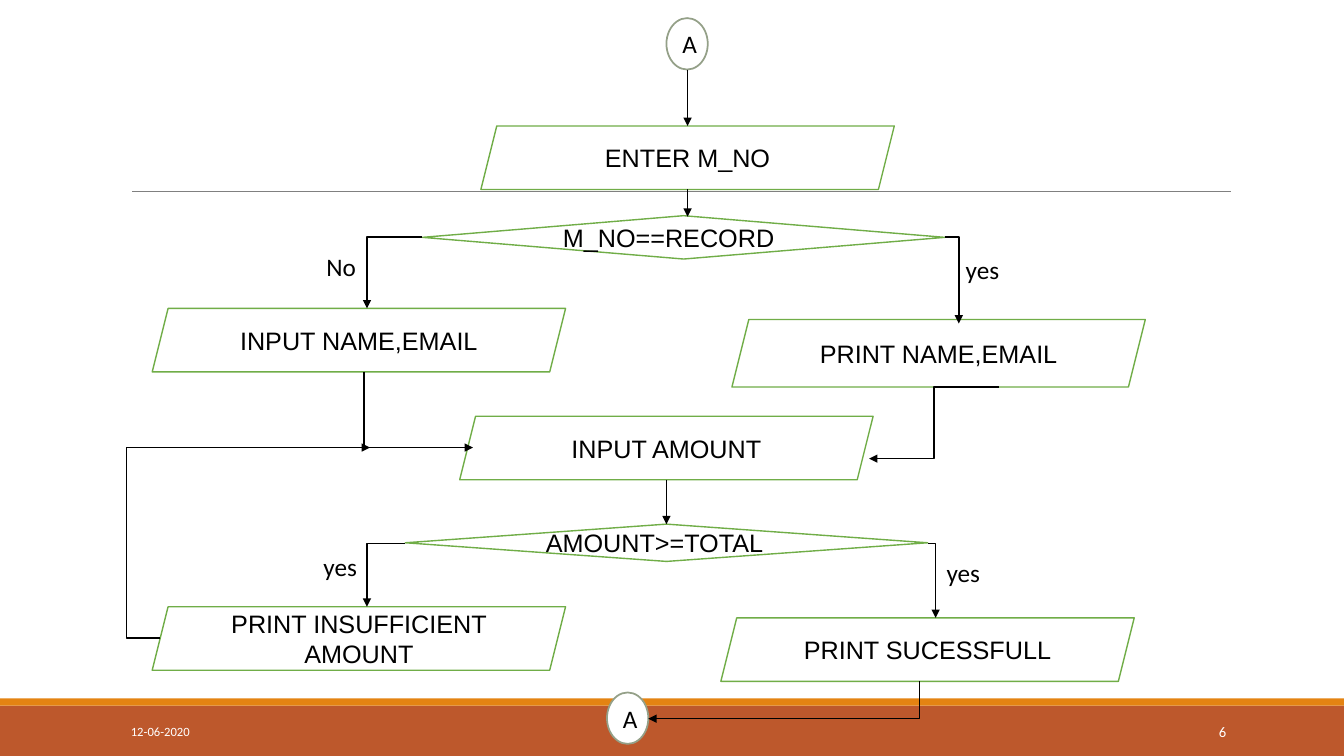
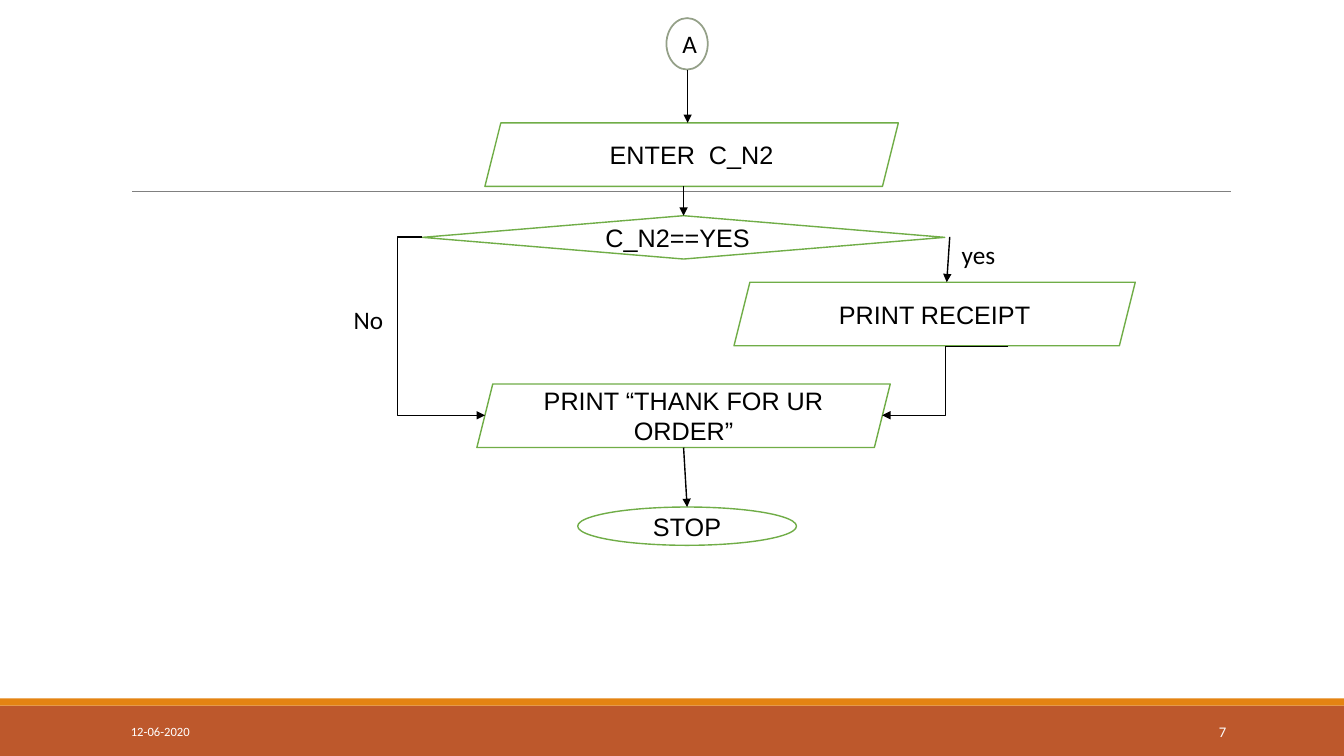
import math

import lxml.etree
import pptx
import pptx.dml.color
import pptx.enum.shapes
import pptx.enum.text
import pptx.oxml.ns
import pptx.util

Inches = pptx.util.Inches
Pt = pptx.util.Pt
qn = pptx.oxml.ns.qn
SHAPES = pptx.enum.shapes.MSO_SHAPE
CONNECTORS = pptx.enum.shapes.MSO_CONNECTOR
ALIGN = pptx.enum.text.PP_ALIGN
ANCHOR = pptx.enum.text.MSO_ANCHOR
AUTO_SIZE = pptx.enum.text.MSO_AUTO_SIZE

COLOURS = {
    "band": "BD582C",
    "stripe": "E48312",
    "rule": "808080",
    "paper": "FFFFFF",
    "ink": "000000",
    "step": "70AD47",
    "link": "94A088",
}
FONTS = {
    "step": {"name": "Arial", "size": Pt(18)},
    "label": {"name": "Calibri", "size": Pt(18)},
    "date": {"name": "Calibri", "size": Pt(9)},
    "number": {"name": "Calibri", "size": Pt(10.5)},
}
FRAMES = {
    "shape": {"word_wrap": True, "vertical_anchor": ANCHOR.MIDDLE},
    "label": {"word_wrap": False, "auto_size": AUTO_SIZE.SHAPE_TO_FIT_TEXT},
}
NODES = {
    "data": {"preset": SHAPES.PARALLELOGRAM, "line": "step", "width": 1, "font": "step", "align": ALIGN.CENTER},
    "test": {"preset": SHAPES.DIAMOND, "line": "step", "width": 1, "font": "step", "align": ALIGN.LEFT},
    "end": {"preset": SHAPES.OVAL, "line": "step", "width": 1, "font": "step", "align": ALIGN.CENTER},
    "link": {"preset": SHAPES.OVAL, "line": "link", "width": 1.25, "font": "label", "align": ALIGN.CENTER},
}
SLIDE_BOX = (0, 0, 13.33, 7.5)
DATE = "12-06-2020"

ORDER_CHART = {
    "number": "6",
    "nodes": {
        "start": ("link", "A", (6.61, 0.18, 0.41, 0.51)),
        "enter": ("data", "ENTER M_NO", (4.77, 1.25, 4.1, 0.63)),
        "known": ("test", "M_NO==RECORD", (4.19, 2.14, 5.18, 0.43)),
        "details": ("data", "PRINT NAME,EMAIL", (7.26, 3.17, 4.1, 0.67)),
        "amount": ("data", "INPUT AMOUNT", (4.56, 4.13, 4.1, 0.63)),
        "success": ("data", "PRINT SUCESSFULL", (7.15, 6.13, 4.1, 0.63)),
        "enough": ("test", "AMOUNT>=TOTAL", (4.02, 5.2, 5.18, 0.37)),
        "short": ("data", "PRINT INSUFFICIENT AMOUNT", (1.51, 6.02, 4.1, 0.63)),
        "customer": ("data", "INPUT NAME,EMAIL", (1.51, 3.06, 4.1, 0.63)),
        "next": ("link", "A", (6.02, 6.87, 0.41, 0.51)),
    },
    "flows": [
        ("straight", (6.82, 0.69), (6.82, 1.25), None),
        ("straight", (6.82, 1.88), (6.82, 2.15), None),
        ("across", (4.19, 2.35), (3.64, 3.06), None),
        ("across", (9.37, 2.35), (9.51, 3.21), None),
        ("step", (9.91, 3.84), (8.62, 4.55), 0.5),
        ("down", (3.61, 3.69), (4.69, 4.44), None),
        ("straight", (6.61, 4.76), (6.61, 5.2), "enough"),
        ("across", (4.02, 5.39), (3.64, 6.02), None),
        ("across", (9.2, 5.39), (9.28, 6.13), None),
        ("step", (1.59, 6.33), (3.67, 4.44), -0.16),
        ("down", (9.12, 6.76), (6.43, 7.13), None),
    ],
    "labels": [
        ("yes", (9.48, 2.47, 0.54, 0.4)),
        ("yes", (9.29, 5.48, 0.54, 0.4)),
        ("No", (3.14, 2.44, 0.5, 0.4)),
        ("yes", (3.11, 5.42, 0.54, 0.4)),
    ],
    "indents": {},
}
RECEIPT_CHART = {
    "number": "7",
    "nodes": {
        "start": ("link", "A", (6.61, 0.18, 0.41, 0.51)),
        "receipt": ("data", "PRINT RECEIPT", (7.28, 2.8, 3.98, 0.63)),
        "confirmed": ("test", "C_N2==YES", (4.19, 2.14, 5.18, 0.43)),
        "enter": ("data", "ENTER  C_N2", (4.81, 1.22, 4.1, 0.63)),
        "thanks": ("data", "PRINT “THANK FOR UR ORDER”", (4.73, 3.81, 4.1, 0.63)),
        "stop": ("end", "STOP", (5.73, 5.03, 2.17, 0.38)),
    },
    "flows": [
        ("straight", (6.82, 0.69), (6.82, 1.22), None),
        ("straight", (6.78, 1.85), (6.78, 2.14), "confirmed"),
        ("straight", (9.42, 2.35), (9.39, 2.8), None),
        ("step", (10, 3.44), (8.75, 4.12), 0.5),
        ("step", (4.19, 2.35), (4.81, 4.12), -0.4),
        ("straight", (6.78, 4.44), (6.82, 5.03), "stop"),
    ],
    "labels": [
        ("yes", (9.44, 2.33, 0.54, 0.4)),
        ("No", (3.41, 2.97, 0.5, 0.4)),
    ],
    "indents": {"confirmed": 0.52},
}


def colour(name):
    """Return a named colour."""
    return pptx.dml.color.RGBColor.from_string(COLOURS[name])


def apply_formats(target, formats):
    """Set each format value on the target."""
    for name, value in formats.items():
        setattr(target, name, value)


def place(box, part):
    """Return the lengths of a part set relative to a box."""
    left, top, width, height = part
    return [Inches(value) for value in (box[0] + left, box[1] + top, width, height)]


def write_text(shape, text, font, ink, align, frame):
    """Write one formatted paragraph into a shape."""
    apply_formats(shape.text_frame, FRAMES[frame])
    paragraph = shape.text_frame.paragraphs[0]
    paragraph.alignment = align
    run = paragraph.add_run()
    run.text = text
    apply_formats(run.font, FONTS[font])
    run.font.color.rgb = colour(ink)


def add_filled_shape(slide, preset, lengths, fill):
    """Add a flat shape without a shadow."""
    shape = slide.shapes.add_shape(preset, *lengths)
    shape.shadow.inherit = False
    shape.fill.solid()
    shape.fill.fore_color.rgb = colour(fill)
    return shape


def add_line(slide, kind, start, end, ink, width):
    """Add a connector without a shadow."""
    points = [Inches(value) for value in (*start, *end)]
    connector = slide.shapes.add_connector(kind, *points)
    connector.line.color.rgb = colour(ink)
    connector.line.width = Pt(width)
    lxml.etree.SubElement(connector.element.spPr, qn("a:effectLst"))
    return connector


def build_layout(layout, slide, box):
    """Draw the bands and the rule and move them to the shared layout."""
    for placeholder in list(layout.placeholders):
        layout.shapes.element.remove(placeholder.element)
    parts = []
    for fill, part in (
        ("band", (0, 7, box[2], 0.5)),
        ("stripe", (0, 6.93, box[2], 0.07)),
    ):
        band = add_filled_shape(slide, SHAPES.RECTANGLE, place(box, part), fill)
        band.line.fill.background()
        parts.append(band)
    parts.append(add_line(slide, CONNECTORS.STRAIGHT, (1.31, 1.9), (12.21, 1.9), "rule", 0.5))
    for part in parts:
        layout.shapes.element.append(part.element)


def add_node(slide, box, kind, text, part):
    """Add one flowchart symbol with its text."""
    node = NODES[kind]
    shape = add_filled_shape(slide, node["preset"], place(box, part), "paper")
    shape.line.color.rgb = colour(node["line"])
    shape.line.width = Pt(node["width"])
    write_text(shape, text, node["font"], "ink", node["align"], "shape")
    return shape


def add_flow(slide, box, route, start, end, bend=None):
    """Add an arrow that runs straight, across first, down first or in a step."""
    start = (box[0] + start[0], box[1] + start[1])
    end = (box[0] + end[0], box[1] + end[1])
    kind = CONNECTORS.STRAIGHT if route == "straight" else CONNECTORS.ELBOW
    turn = 0
    if route == "down":
        middle_x, middle_y = (start[0] + end[0]) / 2, (start[1] + end[1]) / 2
        half_width = math.copysign((end[1] - start[1]) / 2, end[0] - start[0])
        half_height = abs(end[0] - start[0]) / 2
        turn = 270 if end[0] > start[0] else 90
        start = (middle_x + half_width, middle_y - half_height)
        end = (middle_x - half_width, middle_y + half_height)
    connector = add_line(slide, kind, start, end, "ink", 1)
    properties = connector.element.spPr
    lxml.etree.SubElement(properties.find(qn("a:ln")), qn("a:tailEnd"), type="triangle")
    geometry = properties.find(qn("a:prstGeom"))
    if route in ("across", "down"):
        geometry.set("prst", "bentConnector2")
    if turn:
        properties.find(qn("a:xfrm")).set("rot", str(turn * 60000))
    if bend is not None:
        adjustments = geometry.find(qn("a:avLst"))
        formula = f"val {round(bend * 100000)}"
        lxml.etree.SubElement(adjustments, qn("a:gd"), name="adj1", fmla=formula)
    return connector


def add_footer(slide, box, number):
    """Add the date and the slide number inside the bottom band."""
    for text, font, align, part in (
        (number, "number", ALIGN.RIGHT, (10.83, 0.06, 1.43, 0.4)),
        (DATE, "date", ALIGN.LEFT, (1.2, 0.06, 2.7, 0.4)),
    ):
        shape = slide.shapes.add_textbox(*place(box, part))
        write_text(shape, text, font, "paper", align, "shape")


def build_flowchart(slide, box, chart):
    """Draw the symbols, arrows and labels of one flowchart."""
    nodes = {name: add_node(slide, box, *node) for name, node in chart["nodes"].items()}
    for name, indent in chart["indents"].items():
        nodes[name].text_frame.margin_left = Inches(indent)
    for route, start, end, detail in chart["flows"]:
        if route == "straight":
            connector = add_flow(slide, box, route, start, end)
            if detail:
                connector.end_connect(nodes[detail], 0)
        else:
            add_flow(slide, box, route, start, end, detail)
    for text, part in chart["labels"]:
        label = slide.shapes.add_textbox(*place(box, part))
        write_text(label, text, "label", "ink", ALIGN.LEFT, "label")


def main():
    """Build and save the presentation."""
    presentation = pptx.Presentation()
    presentation.slide_width = Inches(SLIDE_BOX[2])
    presentation.slide_height = Inches(SLIDE_BOX[3])
    layout = presentation.slide_layouts[6]
    slides = [presentation.slides.add_slide(layout) for _ in range(2)]
    build_layout(layout, slides[0], SLIDE_BOX)
    for slide, chart in zip(slides, (ORDER_CHART, RECEIPT_CHART)):
        build_flowchart(slide, SLIDE_BOX, chart)
        add_footer(slide, (0, 7, SLIDE_BOX[2], 0.5), chart["number"])
    presentation.save("out.pptx")


if __name__ == "__main__":
    main()
